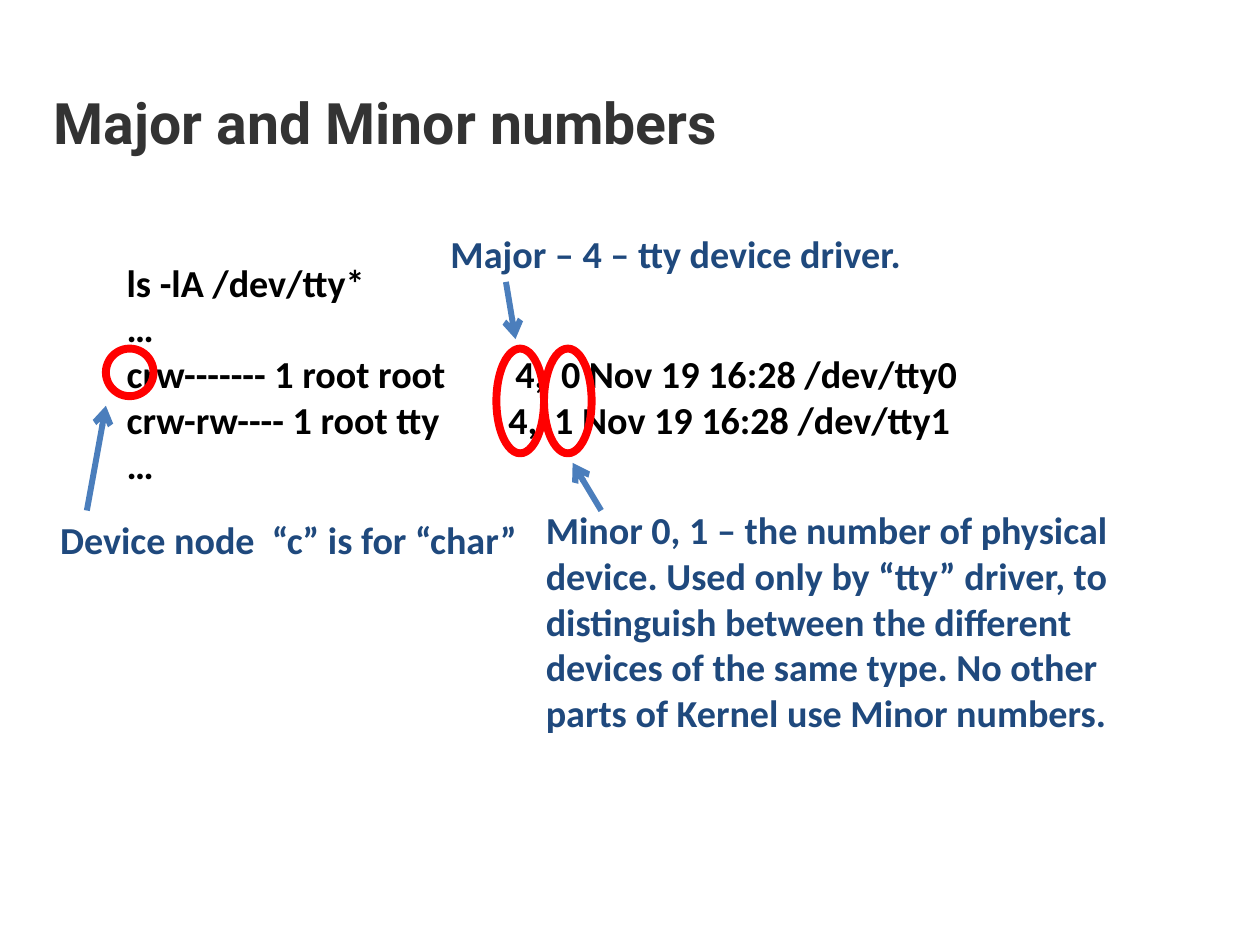
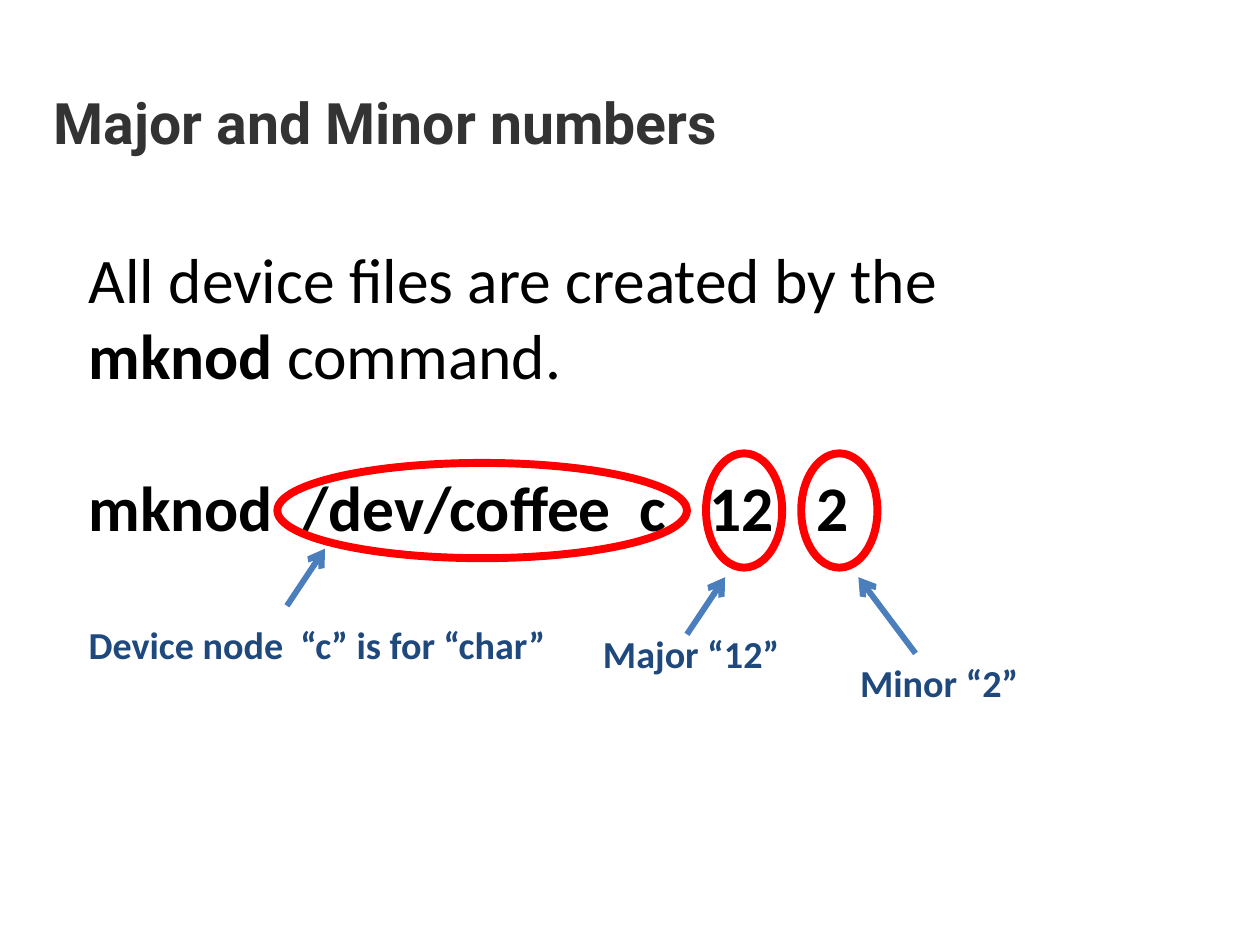
from dataclasses import dataclass

from lxml import etree
from pptx import Presentation, util as u
from pptx.dml.color import RGBColor
from pptx.enum import shapes, text
from pptx.oxml.ns import qn


@dataclass(frozen=True)
class Theme:
    title_font: str = "Roboto"
    body_font: str = "Calibri"
    title_color: str = "333333"
    body_color: str = "000000"
    note_color: str = "1F497D"
    ring_color: str = "FF0000"
    arrow_color: str = "4B7EBC"
    title_size: float = 36
    body_size: float = 40
    note_size: float = 24
    ring_width: float = 5
    arrow_width: float = 3.75


T = Theme()
SLIDE_W, SLIDE_H = u.Cm(28), u.Cm(21)
STEP = 1 / 12                    # grid pitch in inches
ORIGIN_X, ORIGIN_Y = 0.01, 0.05

TITLE = dict(name=T.title_font, size=T.title_size, color=T.title_color, bold=True)
BODY = dict(name=T.body_font, size=T.body_size, color=T.body_color, bold=False)
COMMAND = dict(BODY, bold=True)
LISTING = dict(COMMAND, size=T.note_size)
NOTE = dict(LISTING, color=T.note_color)


def cols(n):
    return u.Inches(ORIGIN_X + n * STEP)


def rows(n):
    return u.Inches(ORIGIN_Y + n * STEP)


def span(n):
    return u.Inches(n * STEP)


def cell_box(col, row, width, height):
    """Turn grid units into left, top, width and height."""
    return cols(col), rows(row), span(width), span(height)


def style_line(line, color, width):
    line.color.rgb = RGBColor.from_string(color)
    line.width = u.Pt(width)


def add_run(p, words, style):
    r = p.add_run()
    r.text = words
    values = dict(style, size=u.Pt(style["size"]))
    r.font.color.rgb = RGBColor.from_string(values.pop("color"))
    for key, value in values.items():
        setattr(r.font, key, value)


def set_tabs(p, stops):
    """Add left tab stops, in inches from the text edge."""
    tabs = etree.SubElement(p._p.get_or_add_pPr(), qn("a:tabLst"))
    for stop in stops:
        etree.SubElement(tabs, qn("a:tab"), pos=str(u.Inches(stop)), algn="l")


def add_text(s, box, paragraphs, **frame):
    """Each paragraph is (runs, tab stops, space before); a run is (words, style)."""
    tf = s.shapes.add_textbox(*box).text_frame
    tf.word_wrap = True
    for key, value in frame.items():
        setattr(tf, key, value)
    for i, (runs, stops, before) in enumerate(paragraphs):
        p = tf.add_paragraph() if i else tf.paragraphs[0]
        p.space_before = u.Pt(before)
        for words, style in runs:
            add_run(p, words, style)
        if stops:
            set_tabs(p, stops)


def add_note(s, col, row, width, words, lines=1):
    height = 1.2 + 4.8 * lines
    add_text(s, cell_box(col, row, width, height), [([(words, NOTE)], (), 0)])


def add_ring(s, col, row, width, height):
    sp = s.shapes.add_shape(shapes.MSO_SHAPE.OVAL, *cell_box(col, row, width, height))
    sp.shadow.inherit = False
    sp.fill.background()
    style_line(sp.line, T.ring_color, T.ring_width)


def add_arrow(s, start, end):
    c = s.shapes.add_connector(shapes.MSO_CONNECTOR.STRAIGHT,
                               cols(start[0]), rows(start[1]), cols(end[0]), rows(end[1]))
    style_line(c.line, T.arrow_color, T.arrow_width)
    etree.SubElement(c.line._get_or_add_ln(), qn("a:tailEnd"), type="arrow")
    etree.SubElement(c._element.spPr, qn("a:effectLst"))


def add_titled_slide(prs, title):
    s = prs.slides.add_slide(prs.slide_layouts[6])
    box = [u.Inches(v) for v in (0.47, 0.71, 9.21, 0.71)]
    margins = {f"margin_{side}": 0 for side in ("left", "top", "right", "bottom")}
    add_text(s, box, [([(title, TITLE)], (), 0)],
             vertical_anchor=text.MSO_ANCHOR.MIDDLE, **margins)
    return s


def build_listing(prs):
    s = add_titled_slide(prs, "Major and Minor numbers")
    listing = [
        ("ls -lA /dev/tty*", ()),
        ("…", ()),
        ("crw------- 1 root root\t4,\t0 Nov 19 16:28 /dev/tty0", (3.4, 3.8)),
        ("crw-rw---- 1 root tty\t4,\t1 Nov 19 16:28 /dev/tty1", (3.34, 3.74)),
        ("…", ()),
    ]
    add_text(s, cell_box(12, 26, 104, 25.2),
             [([(words, LISTING)], stops, 0) for words, stops in listing])
    add_note(s, 5, 53, 51, "Device node  “c” is for “char”")
    add_ring(s, 11, 36, 5, 5)
    add_arrow(s, (9, 53), (11, 42))
    add_note(s, 46, 23, 65, "Major – 4 – tty device driver.")
    add_ring(s, 52, 36, 5, 11)
    add_arrow(s, (53, 29), (54, 35))
    add_note(s, 56, 52, 69,
             "Minor 0, 1 – the number of physical device. Used only by “tty” driver, "
             "to distinguish between the different devices of the same type. "
             "No other parts of Kernel use Minor numbers.", lines=5)
    add_ring(s, 57, 36, 5, 11)
    add_arrow(s, (63, 53), (60, 48))


def build_mknod(prs):
    s = add_titled_slide(prs, "Major and Minor numbers")
    sentence = [("All device files are created by the ", BODY),
                ("mknod", COMMAND), (" command.", BODY)]
    command = [("mknod\t/dev/coffee\tc\t12\t2", COMMAND)]
    add_text(s, cell_box(8, 24, 104, 33.5),
             [(sentence, (), 0), (command, (1.86, 4.82, 5.43, 6.37), 48)])
    add_note(s, 8, 64, 51, "Device node  “c” is for “char”")
    add_ring(s, 29, 48, 43, 10)
    add_arrow(s, (30, 63), (34, 57))
    for col in (74, 84):
        add_ring(s, col, 47, 8, 12)
    add_note(s, 62, 65, 22, "Major “12”")
    add_arrow(s, (72, 66), (76, 60))
    add_note(s, 89, 68, 22, "Minor “2”")
    add_arrow(s, (96, 68), (90, 60))


def main():
    prs = Presentation()
    prs.slide_width, prs.slide_height = SLIDE_W, SLIDE_H
    build_listing(prs)
    build_mknod(prs)
    prs.save("out.pptx")


if __name__ == "__main__":
    main()
